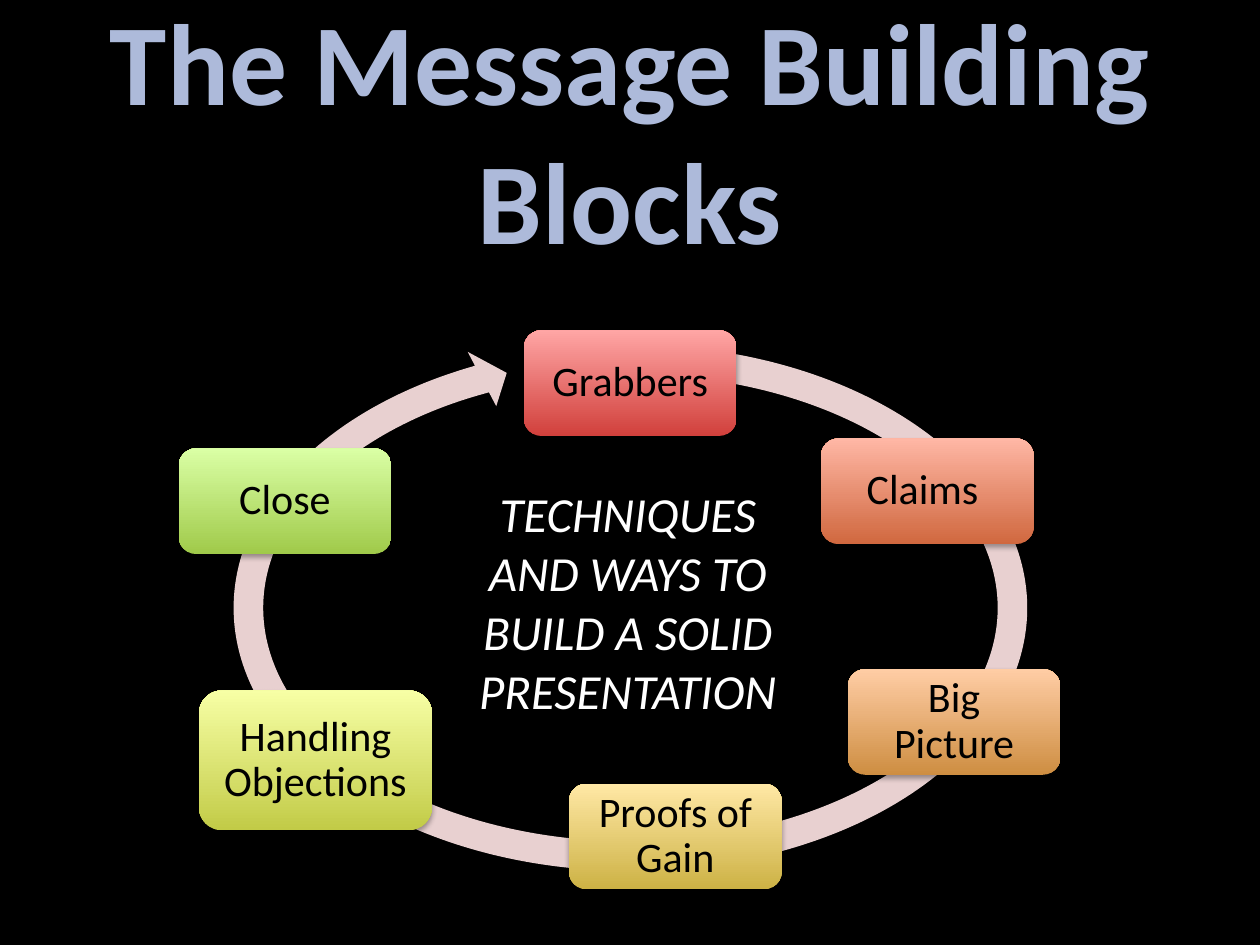
from lxml import etree
from pptx import Presentation
from pptx.dml.color import RGBColor
from pptx.enum.shapes import MSO_SHAPE
from pptx.enum.text import MSO_ANCHOR, MSO_AUTO_SIZE, PP_ALIGN
from pptx.oxml import parse_xml
from pptx.oxml.ns import nsdecls, qn
from pptx.util import Cm, Pt

ROUNDED, RING_ARROW = MSO_SHAPE.ROUNDED_RECTANGLE, MSO_SHAPE.CIRCULAR_ARROW
CENTER, TOP, MIDDLE = PP_ALIGN.CENTER, MSO_ANCHOR.TOP, MSO_ANCHOR.MIDDLE
NO_AUTOFIT = MSO_AUTO_SIZE.NONE
TITLE_ONLY = 5
FONT = "Calibri"

BLACK = RGBColor(0x00, 0x00, 0x00)
WHITE = RGBColor(0xFF, 0xFF, 0xFF)
TITLE_BLUE = RGBColor(0xAD, 0xBA, 0xDA)
RING_PINK = RGBColor(0xE8, 0xD0, 0xD0)

BLOCK_SIZE = (4.29, 2.13)
LARGE_BLOCK_SIZE = (4.7, 2.82)
# Label, offset in the cycle (cm), size (cm), bottom and top colour
BLOCKS = [
    ("Grabbers", (6.96, 0.03), BLOCK_SIZE,
     RGBColor(0xD1, 0x40, 0x3C), RGBColor(0xFF, 0xA6, 0xA5)),
    ("Claims ", (12.95, 2.21), BLOCK_SIZE,
     RGBColor(0xD0, 0x68, 0x3F), RGBColor(0xFF, 0xB7, 0xA5)),
    ("Big Picture", (13.49, 6.86), BLOCK_SIZE,
     RGBColor(0xCE, 0x8E, 0x42), RGBColor(0xFF, 0xCD, 0xA5)),
    ("Proofs of Gain", (7.87, 9.17), BLOCK_SIZE,
     RGBColor(0xCD, 0xB2, 0x45), RGBColor(0xFF, 0xE8, 0xA5)),
    ("Handling Objections", (0.41, 7.29), LARGE_BLOCK_SIZE,
     RGBColor(0xC2, 0xCB, 0x47), RGBColor(0xF7, 0xFF, 0xA5)),
    ("Close", (0, 2.41), BLOCK_SIZE,
     RGBColor(0xA0, 0xCA, 0x4A), RGBColor(0xDA, 0xFF, 0xA5)),
]


def write_text(shape, text, size, color, anchor, bold=False, italic=False):
    frame = shape.text_frame
    frame.word_wrap = True
    frame.auto_size = NO_AUTOFIT
    frame.vertical_anchor = anchor
    frame.text = text
    paragraph = frame.paragraphs[0]
    paragraph.alignment = CENTER
    font = paragraph.font
    font.name, font.size = FONT, Pt(size)
    font.bold, font.italic = bold, italic
    font.color.rgb = color
    return frame


def add_soft_shadow(shape):
    """Cast a faint shadow straight down."""
    shape.shadow.inherit = False
    effects = shape._element.spPr.find(qn("a:effectLst"))
    shadow = parse_xml(
        f'<a:outerShdw {nsdecls("a")} blurRad="{Pt(3.1)}" dist="{Pt(1.8)}" '
        'dir="5400000" rotWithShape="0"/>')
    black = etree.SubElement(shadow, qn("a:srgbClr"), val="000000")
    etree.SubElement(black, qn("a:alpha"), val="35000")
    effects.append(shadow)


def place_title(slide, left, top, width, height):
    title = slide.shapes.title
    title.left, title.top = Cm(left), Cm(top)
    title.width, title.height = Cm(width), Cm(height)
    write_text(title, "The Message Building Blocks", 66, TITLE_BLUE, TOP,
               bold=True)


def add_ring(slide, left, top, width, height):
    ring = slide.shapes.add_shape(RING_ARROW, Cm(left), Cm(top),
                                  Cm(width), Cm(height))
    for index, value in enumerate((0.053, 3.126, 142.215, 171.309, 0.055)):
        ring.adjustments[index] = value
    ring.fill.solid()
    ring.fill.fore_color.rgb = RING_PINK
    ring.line.fill.background()
    add_soft_shadow(ring)


def add_block(slide, left, top, size, label, bottom_color, top_color):
    width, height = size
    block = slide.shapes.add_shape(ROUNDED, Cm(left), Cm(top),
                                   Cm(width), Cm(height))
    block.fill.gradient()
    block.fill.gradient_angle = 90
    for stop, color in zip(block.fill.gradient_stops,
                           (bottom_color, top_color)):
        stop.color.rgb = color
    block.line.fill.background()
    add_soft_shadow(block)
    frame = write_text(block, label, 24, BLACK, MIDDLE)
    frame.margin_left = frame.margin_right = Cm(0.25)
    frame.margin_top = frame.margin_bottom = Cm(0.25)
    frame.paragraphs[0].line_spacing = 0.9


def add_cycle(slide, left, top):
    # Ring behind the blocks
    add_ring(slide, left + 0.79, top, 16.64, 11.25)
    # Blocks around the ring
    for label, (dx, dy), size, bottom_color, top_color in BLOCKS:
        add_block(slide, left + dx, top + dy, size, label,
                  bottom_color, top_color)
    # Caption in the middle
    caption = slide.shapes.add_textbox(Cm(left + 5.69), Cm(top + 3),
                                       Cm(6.73), Cm(5.05))
    write_text(caption, "TECHNIQUES AND WAYS TO BUILD A SOLID PRESENTATION",
               28, WHITE, TOP, italic=True)


def main():
    deck = Presentation()
    deck.slide_width, deck.slide_height = Cm(25.4), Cm(19.05)
    slide = deck.slides.add_slide(deck.slide_layouts[TITLE_ONLY])
    slide.background.fill.solid()
    slide.background.fill.fore_color.rgb = BLACK
    place_title(slide, 0, -0.33, 25.4, 5.89)
    add_cycle(slide, 3.6, 6.63)
    deck.save("out.pptx")


if __name__ == "__main__":
    main()
